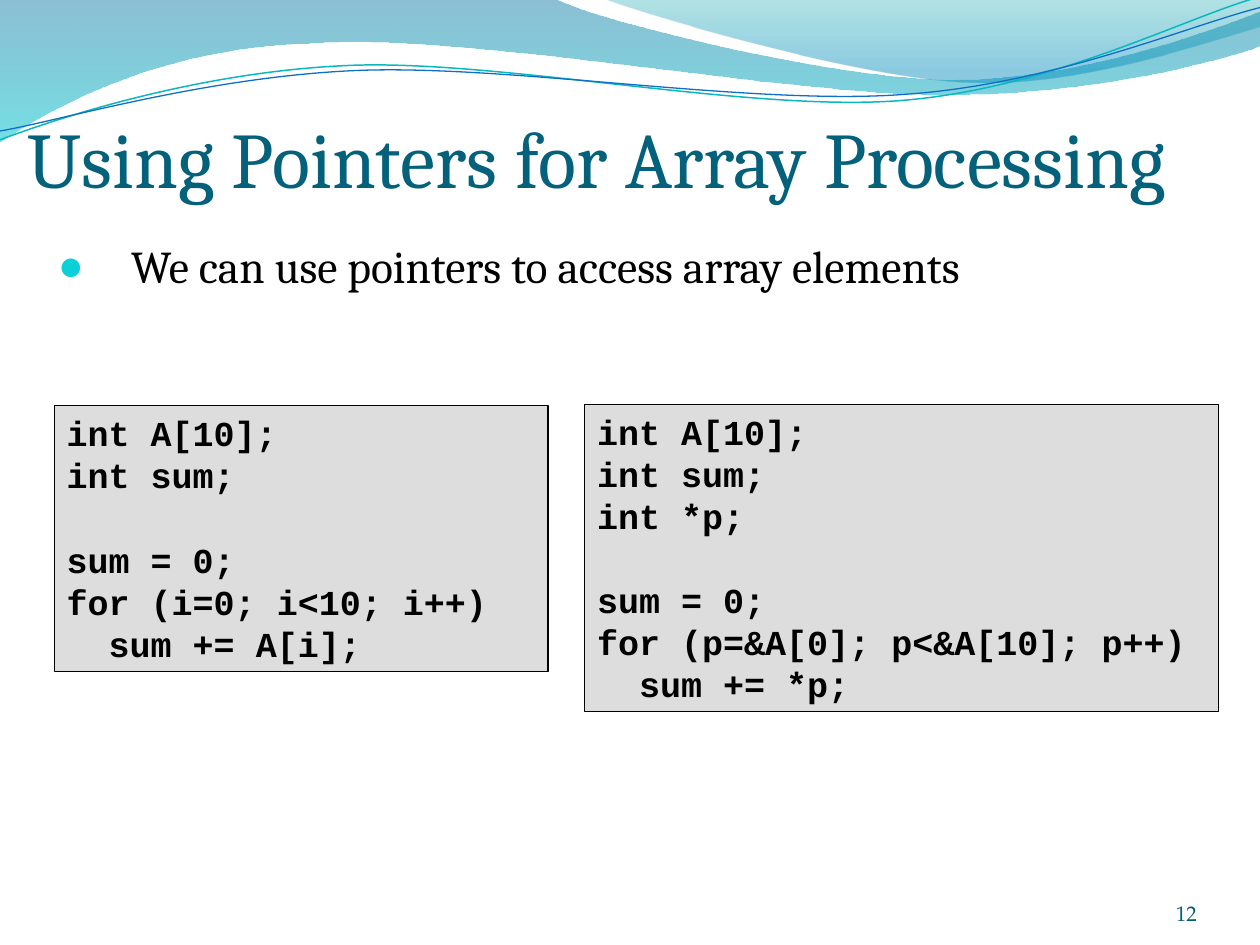
from dataclasses import dataclass

from lxml.etree import SubElement
from pptx import Presentation
from pptx.dml.color import RGBColor
from pptx.enum.shapes import MSO_SHAPE
from pptx.enum.text import MSO_ANCHOR, MSO_AUTO_SIZE, PP_ALIGN
from pptx.oxml.ns import qn
from pptx.util import Inches, Pt


@dataclass(frozen=True)
class Theme:
    heading: str = "04617B"
    text: str = "000000"
    number: str = "045D75"
    bullet: str = "0BD0D9"
    code_fill: str = "DDDDDD"
    font: str = "Cambria"
    code_font: str = "Courier New"
    number_font: str = "TeX Gyre Pagella"
    title_size: int = 45
    body_size: int = 26
    code_size: int = 20
    code_leading: int = 24
    number_size: int = 12


T = Theme()

# Each wave is a start point followed by segments: one point for a straight
# line, three points for a Bezier curve. All values are inches.
BANDS = [
    ((0, 0), [
        [(4.4, -0.01)],
        [(4.76, 0.17), (6.64, 0.63), (7.58, 0.63)],
        [(8.53, 0.63), (9.58, 0.26), (10, 0.09)],
        [(10.01, 0.36)],
        [(9.83, 0.44), (8.7, 0.76), (7.46, 0.75)],
        [(6.22, 0.75), (3.82, 0.28), (2.57, 0.34)],
        [(1.29, 0.36), (0.46, 0.83), (-0.01, 1.13)],
    ], [(0, "0074A1", 45), (1, "00C6CF", 55)]),
    ((4.79, -0.01), [
        [(5.09, 0.11), (6.82, 0.62), (7.69, 0.65)],
        [(8.56, 0.69), (9.61, 0.32), (10, 0.21)],
        [(10, 0)],
    ], [(0, "00A1A9", 30), (0.8, "008BBF", 45)]),
]
STRANDS = [
    ((0, 1.11), [
        [(0.48, 0.93), (1.58, 0.57), (2.77, 0.52)],
        [(3.95, 0.47), (5.93, 0.89), (7.13, 0.8)],
        [(8.33, 0.71), (9.38, 0.15), (9.98, -0.02)],
    ], "0AB8BF", 0.85),
    ((0, 1.04), [
        [(0.47, 0.96), (1.64, 0.61), (2.83, 0.56)],
        [(4.03, 0.51), (5.97, 0.84), (7.17, 0.75)],
        [(8.36, 0.67), (9.41, 0.21), (10, 0.06)],
    ], "0F6FC6", 0.75),
]

ARRAY_CODE = [
    ["int A[10];", "int sum;"],
    ["sum = 0;", "for (i=0; i<10; i++)", "  sum += A[i];"],
]
POINTER_CODE = [
    ["int A[10];", "int sum;", "int *p;"],
    ["sum = 0;", "for (p=&A[0]; p<&A[10]; p++)", "  sum += *p;"],
]


def rgb(value):
    return RGBColor.from_string(value)


def add_run(p, text, font, size, color, bold=False):
    r = p.add_run()
    r.text = text
    r.font.name, r.font.size, r.font.bold = font, Pt(size), bold
    r.font.color.rgb = rgb(color)


def place(sp, box):
    sp.left, sp.top, sp.width, sp.height = map(Inches, box)


def set_frame(tf, anchor, insets):
    tf.word_wrap = True
    tf.auto_size = MSO_AUTO_SIZE.NONE
    tf.vertical_anchor = anchor
    (tf.margin_left, tf.margin_top,
     tf.margin_right, tf.margin_bottom) = map(Inches, insets)


def hang(p, indent):
    pPr = p._p.get_or_add_pPr()
    pPr.set("marL", str(Inches(indent)))
    pPr.set("indent", str(-Inches(indent)))
    return pPr


def add_curve(s, start, segments, close):
    """Build an outline, then turn each run of three points into a curve."""
    first, *rest = [(Inches(x), Inches(y))
                    for x, y in [start, *(pt for seg in segments for pt in seg)]]
    builder = s.shapes.build_freeform(*first)
    builder.add_line_segments(rest, close=close)
    sp = builder.convert_to_shape()
    sp.shadow.inherit = False
    line_tos = iter(list(sp._element.spPr.iter(qn("a:lnTo"))))
    for seg in segments:
        head, *others = [next(line_tos) for _ in seg]
        if others:
            head.tag = qn("a:cubicBezTo")
        for ln in others:
            head.append(ln[0])
            ln.getparent().remove(ln)
    return sp


def add_waves(s):
    """Draw the header waves behind the placeholders."""
    waves = []
    for start, segments, stops in BANDS:
        sp = add_curve(s, start, segments, True)
        sp.line.fill.background()
        sp.fill.gradient()
        sp.fill.gradient_angle = 270
        for stop, (position, color, _) in zip(sp.fill.gradient_stops, stops):
            stop.position = position
            stop.color.rgb = rgb(color)
        grad = sp._element.spPr.find(qn("a:gradFill"))
        for clr, (_, _, opacity) in zip(list(grad.iter(qn("a:srgbClr"))), stops):
            SubElement(clr, qn("a:alpha"), val=str(opacity * 1000))
        waves.append(sp)
    for start, segments, color, width in STRANDS:
        sp = add_curve(s, start, segments, False)
        sp.fill.background()
        sp.line.color.rgb = rgb(color)
        sp.line.width = Pt(width)
        waves.append(sp)
    for i, sp in enumerate(waves):
        s.shapes._spTree.insert(2 + i, sp._element)


def add_title(s, box, text):
    sp = s.shapes.title
    place(sp, box)
    set_frame(sp.text_frame, MSO_ANCHOR.BOTTOM, (0, 0.05, 0, 0))
    p = sp.text_frame.paragraphs[0]
    p.alignment = PP_ALIGN.LEFT
    add_run(p, text, T.font, T.title_size, T.heading)


def add_body(s, box, text):
    sp = s.placeholders[1]
    place(sp, box)
    set_frame(sp.text_frame, MSO_ANCHOR.TOP, (0.1, 0.05, 0.1, 0.05))
    p = sp.text_frame.paragraphs[0]
    p.space_before = Pt(0.2 * T.body_size)
    pPr = hang(p, 0.58)
    SubElement(SubElement(pPr, qn("a:buClr")), qn("a:srgbClr"), val=T.bullet)
    SubElement(pPr, qn("a:buSzPct"), val="95000")
    SubElement(pPr, qn("a:buChar"), char="●")
    add_run(p, text, T.font, T.body_size, T.text)


def add_code(s, box, blocks):
    """Fill a framed panel with blocks of code, one line's height apart."""
    sp = s.shapes.add_shape(MSO_SHAPE.RECTANGLE, *map(Inches, box))
    sp.shadow.inherit = False
    sp.fill.solid()
    sp.fill.fore_color.rgb = rgb(T.code_fill)
    sp.line.color.rgb = rgb(T.text)
    sp.line.width = Pt(0.75)
    tf = sp.text_frame
    set_frame(tf, MSO_ANCHOR.TOP, (0.1, 0.05, 0.1, 0.05))
    lines = [(line, b > 0 and i == 0)
             for b, block in enumerate(blocks) for i, line in enumerate(block)]
    for n, (line, gap) in enumerate(lines):
        p = tf.add_paragraph() if n else tf.paragraphs[0]
        p.alignment = PP_ALIGN.LEFT
        p.line_spacing = Pt(T.code_leading)
        p.space_before = Pt(T.code_leading if gap else 0)
        hang(p, 0.38)
        add_run(p, line, T.code_font, T.code_size, T.text, bold=True)


def add_number(s, box, text):
    tf = s.shapes.add_textbox(*map(Inches, box)).text_frame
    set_frame(tf, MSO_ANCHOR.BOTTOM, (0, 0, 0, 0))
    p = tf.paragraphs[0]
    p.alignment = PP_ALIGN.RIGHT
    add_run(p, text, T.number_font, T.number_size, T.number)


def main():
    prs = Presentation()
    prs.slide_width, prs.slide_height = Inches(10), Inches(7.5)
    s = prs.slides.add_slide(prs.slide_layouts[1])
    add_waves(s)
    add_title(s, (0.22, 0.15, 9.46, 1.47), "Using Pointers for Array Processing")
    add_body(s, (0.36, 1.84, 9.25, 1.14),
             "We can use pointers to access array elements")
    add_number(s, (8.67, 6.95, 0.83, 0.4), "12")
    add_code(s, (0.43, 3.22, 3.92, 2.11), ARRAY_CODE)
    add_code(s, (4.64, 3.21, 5.03, 2.44), POINTER_CODE)
    prs.save("out.pptx")


if __name__ == "__main__":
    main()
